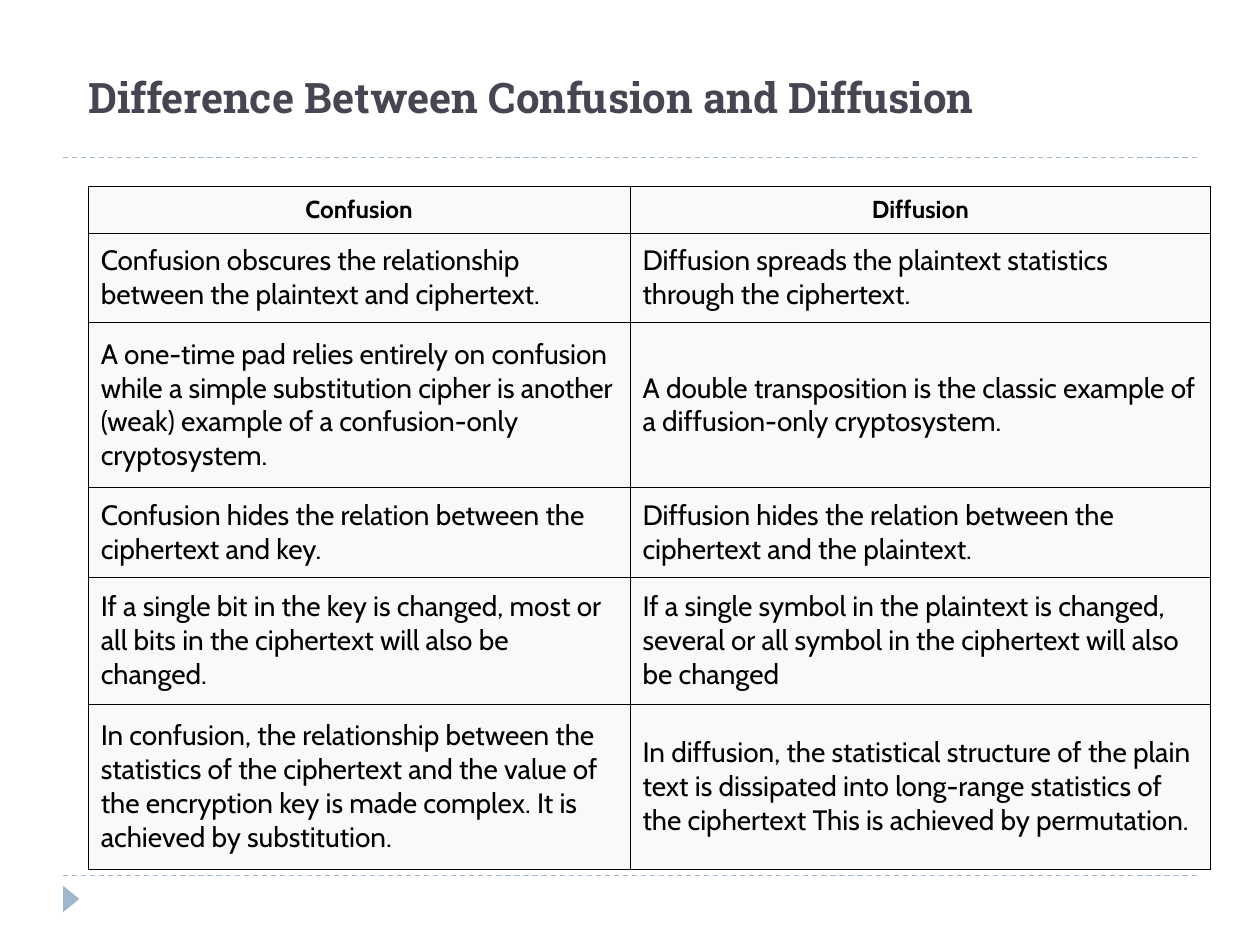
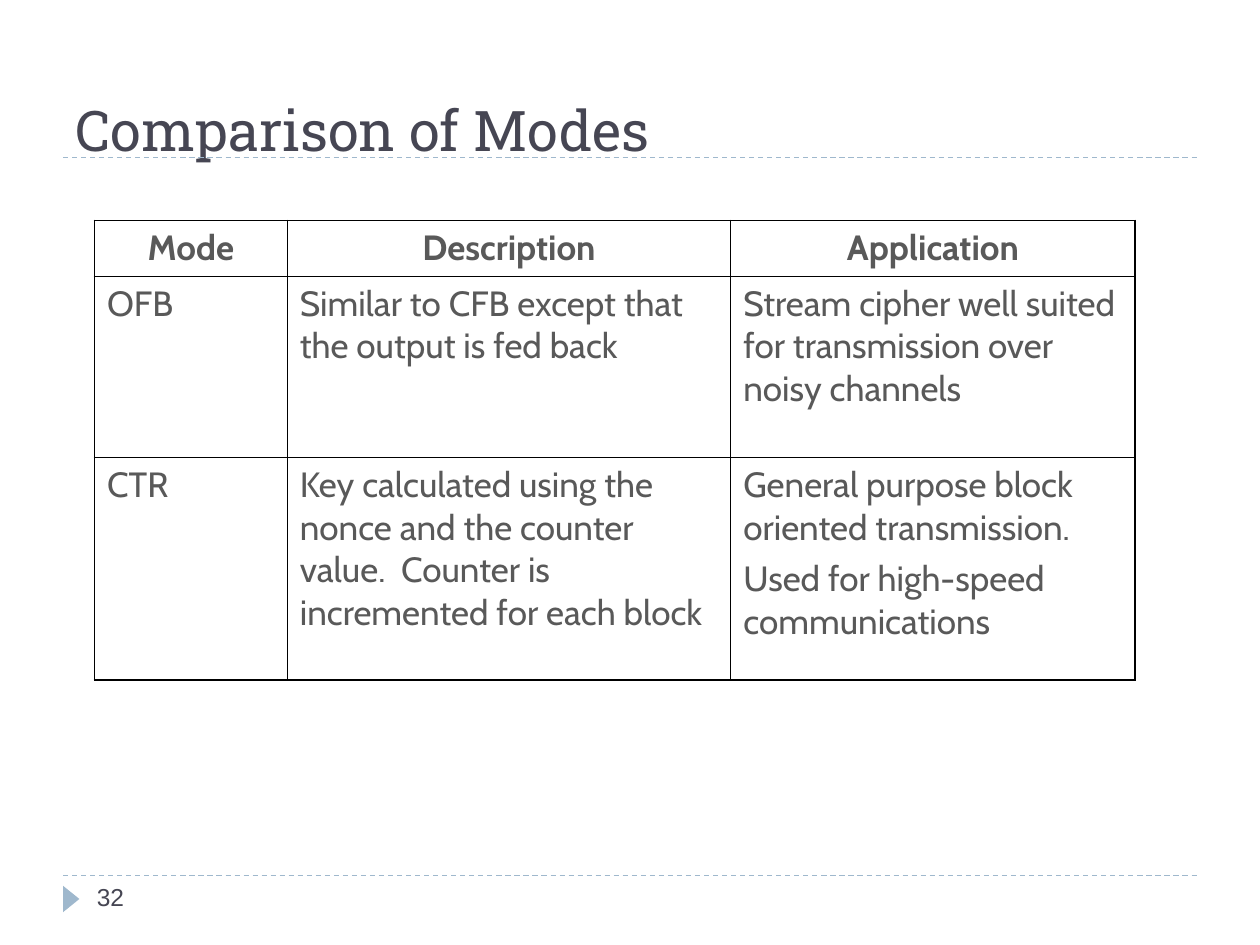
from dataclasses import dataclass

from lxml import etree
from pptx import Presentation
from pptx import util as u
from pptx.dml import color
from pptx.enum import dml, shapes, text
from pptx.oxml import ns


@dataclass(frozen=True)
class Theme:
    # Colours
    heading: str = "464653"
    accent: str = "9FB8CD"
    ink: str = "000000"
    muted: str = "595959"
    pale: str = "F8F9FB"
    # Fonts
    heading_font: str = "Roboto Slab"
    body_font: str = "Cabin"
    number_font: str = "Arial"
    # Type sizes
    title: int = 32
    long_title: int = 24
    modes_text: int = 20
    contrast_text: int = 16
    small: int = 14
    # Line widths
    rule: float = 0.75
    thin: float = 0.45
    thick: float = 1.08


def apply(target, values):
    for name, value in values.items():
        setattr(target, name, value)


class Deck:
    TITLE_ONLY = 5

    def __init__(self, theme):
        self.theme = theme
        self.prs = Presentation()
        apply(self.prs, {"slide_width": u.Inches(10), "slide_height": u.Inches(7.5)})
        self.slide = None

    def new_slide(self):
        self.slide = self.prs.slides.add_slide(self.prs.slide_layouts[self.TITLE_ONLY])
        for y in (6.95, 1.25):
            self.rule(y)
        self.marker()

    def rule(self, y):
        rule = self.slide.shapes.add_connector(
            shapes.MSO_CONNECTOR.STRAIGHT,
            u.Inches(0.5), u.Inches(y), u.Inches(9.5), u.Inches(y))
        rule.line.color.rgb = color.RGBColor.from_string(self.theme.accent)
        apply(rule.line, {"width": u.Pt(self.theme.rule), "dash_style": dml.MSO_LINE.DASH})
        etree.SubElement(rule._element.spPr, ns.qn("a:effectLst"))

    def marker(self):
        marker = self.slide.shapes.add_shape(
            shapes.MSO_SHAPE.ISOSCELES_TRIANGLE,
            u.Inches(0.46), u.Inches(7.07), u.Inches(0.21), u.Inches(0.13))
        marker.rotation = 90
        marker.shadow.inherit = False
        marker.fill.solid()
        marker.fill.fore_color.rgb = color.RGBColor.from_string(self.theme.accent)
        marker.line.fill.background()

    def set_text(self, frame, paragraphs, font, size, ink, bold=False,
                 align=text.PP_ALIGN.LEFT, gap=0):
        frame.word_wrap = True
        for index, words in enumerate(paragraphs):
            paragraph = frame.paragraphs[0] if index == 0 else frame.add_paragraph()
            paragraph.text = words
            paragraph.alignment = align
            if index:
                paragraph.space_before = u.Pt(gap)
            apply(paragraph.font, {"name": font, "size": u.Pt(size), "bold": bold})
            paragraph.font.color.rgb = color.RGBColor.from_string(ink)

    def title(self, words, left, top, size, bold=False):
        heading = self.slide.shapes.title
        apply(heading, {"left": u.Inches(left), "top": u.Inches(top),
                        "width": u.Inches(9), "height": u.Inches(1.02)})
        apply(heading.text_frame, {"vertical_anchor": text.MSO_ANCHOR.BOTTOM,
                                   "auto_size": text.MSO_AUTO_SIZE.NONE})
        self.set_text(heading.text_frame, [words], self.theme.heading_font, size,
                      self.theme.heading, bold)

    def page_number(self, number):
        box = self.slide.shapes.add_textbox(
            u.Inches(0.67), u.Inches(6.95), u.Inches(2.17), u.Inches(0.4))
        self.set_text(box.text_frame, [number], self.theme.number_font,
                      self.theme.small, self.theme.heading)

    def borders(self, cell, widths):
        properties = cell._tc.get_or_add_tcPr()
        for position, (side, width) in enumerate(widths.items()):
            line = etree.Element(ns.qn(f"a:ln{side}"), w=str(int(u.Pt(width))))
            fill = etree.SubElement(line, ns.qn("a:solidFill"))
            etree.SubElement(fill, ns.qn("a:srgbClr"), val=self.theme.ink)
            properties.insert(position, line)

    def table(self, rows, left, top, widths, heights, head_size, body_size, ink,
              anchor, outer, fill=None):
        grid = self.slide.shapes.add_table(
            len(rows), len(widths), u.Inches(left), u.Inches(top),
            u.Inches(sum(widths)), u.Inches(sum(heights))).table
        apply(grid, {"first_row": False, "horz_banding": False})
        for column, width in zip(grid.columns, widths):
            column.width = u.Inches(width)
        last_row, last_column = len(rows) - 1, len(widths) - 1
        thin = self.theme.thin
        for r, (height, entries) in enumerate(zip(heights, rows)):
            grid.rows[r].height = u.Inches(height)
            is_head = r == 0
            for c, words in enumerate(entries):
                cell = grid.cell(r, c)
                cell.vertical_anchor = anchor
                if fill:
                    cell.fill.solid()
                    cell.fill.fore_color.rgb = color.RGBColor.from_string(fill)
                else:
                    cell.fill.background()
                self.borders(cell, {
                    "L": outer if c == 0 else thin,
                    "R": outer if c == last_column else thin,
                    "T": outer if r == 0 else thin,
                    "B": outer if r == last_row else thin})
                self.set_text(cell.text_frame, words.split("\n"), self.theme.body_font,
                              head_size if is_head else body_size, ink, is_head,
                              text.PP_ALIGN.CENTER if is_head else text.PP_ALIGN.LEFT, gap=5)


CONTRASTS = [
    ("Confusion", "Diffusion"),
    ("Confusion obscures the relationship between the plaintext and ciphertext.",
     "Diffusion spreads the plaintext statistics through the ciphertext."),
    ("A one-time pad relies entirely on confusion while a simple substitution cipher "
     "is another (weak) example of a confusion-only cryptosystem.",
     "A double transposition is the classic example of a diffusion-only cryptosystem."),
    ("Confusion hides the relation between the ciphertext and key.",
     "Diffusion hides the relation between the ciphertext and the plaintext."),
    ("If a single bit in the key is changed, most or all bits in the ciphertext "
     "will also be changed.",
     "If a single symbol in the plaintext is changed, several or all symbol in the "
     "ciphertext will also be changed"),
    ("In confusion, the relationship between the statistics of the ciphertext and the "
     "value of the encryption key is made complex. It is achieved by substitution.",
     "In diffusion, the statistical structure of the plain text is dissipated into "
     "long-range statistics of the ciphertext This is achieved by permutation."),
]

MODES = [
    ("Mode", "Description", "Application"),
    ("OFB", "Similar to CFB except that the output is fed back",
     "Stream cipher well suited for transmission over noisy channels"),
    ("CTR", "Key calculated using the nonce and the counter value.  Counter is "
     "incremented for each block",
     "General purpose block oriented transmission.\nUsed for high-speed communications"),
]


def main():
    theme = Theme()
    deck = Deck(theme)

    # Confusion against diffusion
    deck.new_slide()
    deck.title("Difference Between Confusion and Diffusion", 0.6, 0, theme.long_title, bold=True)
    deck.table(CONTRASTS, 0.7, 1.48, (4.3, 4.61), (0.37, 0.71, 1.31, 0.71, 1.01, 1.31),
               theme.small, theme.contrast_text, theme.ink,
               text.MSO_ANCHOR.MIDDLE, theme.thin, theme.pale)

    # Cipher modes
    deck.new_slide()
    deck.title("Comparison of Modes", 0.5, 0.32, theme.title)
    deck.table(MODES, 0.75, 1.75, (1.53, 3.52, 3.21), (0.44, 1.44, 1.77),
               theme.modes_text, theme.modes_text, theme.muted,
               text.MSO_ANCHOR.TOP, theme.thick)
    deck.page_number("32")

    deck.prs.save("out.pptx")


if __name__ == "__main__":
    main()
